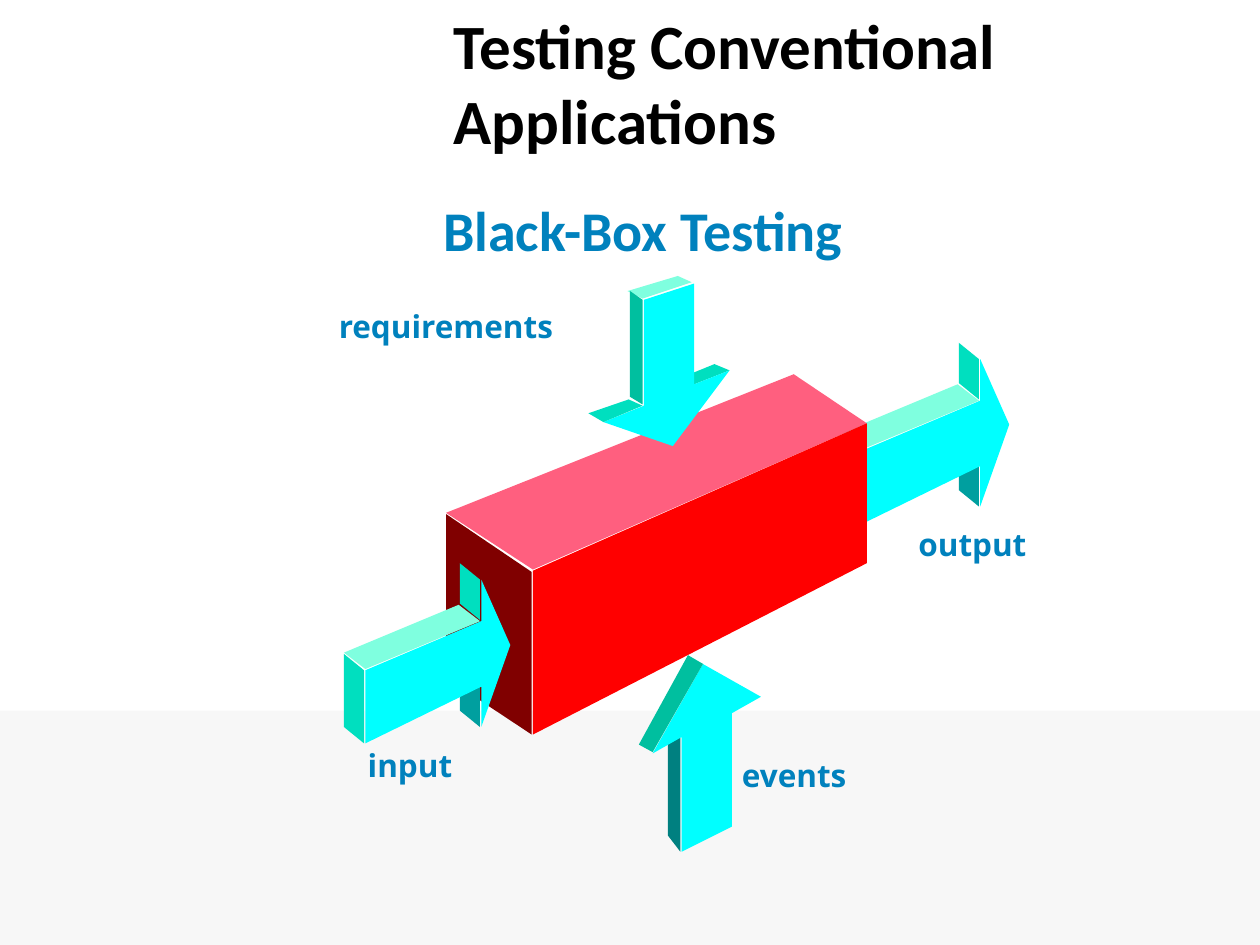
"""Build the black-box testing slide."""
from dataclasses import dataclass

import pptx
import pptx.dml.color
import pptx.enum.shapes
import pptx.enum.text
import pptx.presentation
import pptx.shapes.autoshape
import pptx.slide
import pptx.text.text
import pptx.util

RGBColor = pptx.dml.color.RGBColor
PX = pptx.util.Inches(1) // 100

BLACK = RGBColor(0x00, 0x00, 0x00)
WHITE = RGBColor(0xFF, 0xFF, 0xFF)
BAND_GREY = RGBColor(0xF7, 0xF7, 0xF7)
BLUE = RGBColor(0x00, 0x81, 0xBD)
CYAN = RGBColor(0x00, 0xFF, 0xFF)
MINT = RGBColor(0x7F, 0xFF, 0xDF)
TURQUOISE = RGBColor(0x00, 0xDF, 0xBF)
GREEN = RGBColor(0x00, 0xBF, 0x9F)
DARK_CYAN = RGBColor(0x00, 0x9F, 0x9F)
TEAL = RGBColor(0x00, 0x80, 0x80)
MAROON = RGBColor(0x80, 0x00, 0x00)
PINK = RGBColor(0xFF, 0x5F, 0x7F)
RED = RGBColor(0xFF, 0x00, 0x00)


@dataclass(frozen=True)
class Face:
    color: RGBColor
    points: tuple[tuple[int, int], ...]


@dataclass(frozen=True)
class Label:
    text: str
    left: int
    top: int
    width: int
    height: int = 40
    font: str = "Open Sans"
    size: int = 18
    wrap: bool = False


FLOW_ARROW = (
    Face(DARK_CYAN, ((381, 577), (381, 545), (365, 532), (365, 564))),
    Face(CYAN, ((382, 493), (290, 532), (290, 590), (382, 545), (382, 577),
                (405, 512), (382, 460))),
    Face(TURQUOISE, ((289, 532), (289, 590), (273, 577), (273, 519))),
    Face(MINT, ((273, 518), (290, 531), (381, 493), (364, 480))),
    Face(TURQUOISE, ((381, 460), (365, 447), (365, 479), (381, 492))),
)
EVENTS_ARROW = (
    Face(TEAL, ((540, 676), (540, 586), (530, 579), (530, 663))),
    Face(CYAN, ((558, 527), (604, 553), (581, 566), (581, 656), (541, 676),
                (541, 585), (518, 598))),
    Face(GREEN, ((518, 597), (507, 591), (546, 520), (558, 527))),
)
BOX = (
    Face(MAROON, ((354, 408), (422, 454), (422, 583), (354, 538))),
    Face(PINK, ((354, 407), (423, 452), (688, 336), (630, 297))),
    Face(RED, ((423, 453), (423, 583), (688, 447), (688, 336))),
)
REQUIREMENTS_ARROW = (
    Face(MINT, ((498, 231), (510, 237), (549, 224), (538, 219))),
    Face(TURQUOISE, ((551, 305), (579, 294), (567, 289), (540, 300))),
    Face(CYAN, ((511, 238), (551, 225), (551, 305), (579, 294), (534, 354),
                (479, 335), (511, 322))),
    Face(TURQUOISE, ((479, 335), (467, 328), (499, 317), (510, 322))),
    Face(GREEN, ((500, 315), (510, 321), (510, 238), (500, 231))),
)
OUTPUT_OFFSET = (396, -175)

TITLE = Label("Testing Conventional Applications", 350, 0, 608, 130, "Calibri", 36, True)
LABELS = (
    Label("Black-Box Testing", 342, 150, 450, 64, "Calibri", 32, True),
    Label("requirements", 259, 239, 191),
    Label("events", 579, 595, 103),
    Label("input", 282, 587, 87),
    Label("output", 719, 412, 106),
)


def paint(sp: pptx.shapes.autoshape.Shape, color: RGBColor) -> None:
    """Give a shape a plain fill with no outline or shadow."""
    sp.shadow.inherit = False
    sp.fill.solid()
    sp.fill.fore_color.rgb = color
    sp.line.fill.background()


def draw_solid(s: pptx.slide.Slide, faces: tuple[Face, ...],
               offset: tuple[int, int] = (0, 0)) -> None:
    """Draw the faces of a solid, moved by an offset."""
    dx, dy = offset
    for face in faces:
        start, *rest = [(x + dx, y + dy) for x, y in face.points]
        builder = s.shapes.build_freeform(*start, scale=PX)
        builder.add_line_segments(rest, close=True)
        paint(builder.convert_to_shape(), face.color)


def write(sp: pptx.shapes.autoshape.Shape, label: Label, color: RGBColor) -> None:
    """Place a text shape and format its single paragraph."""
    sp.left, sp.top = label.left * PX, label.top * PX
    sp.width, sp.height = label.width * PX, label.height * PX
    tf = sp.text_frame
    tf.text = label.text
    tf.word_wrap = label.wrap
    tf.auto_size = pptx.enum.text.MSO_AUTO_SIZE.NONE
    tf.vertical_anchor = pptx.enum.text.MSO_ANCHOR.TOP
    p = tf.paragraphs[0]
    p.alignment = pptx.enum.text.PP_ALIGN.LEFT
    p.font.name = label.font
    p.font.size = pptx.util.Pt(label.size)
    p.font.bold = True
    p.font.color.rgb = color


def main() -> None:
    """Build and save the slide."""
    prs = pptx.Presentation()
    prs.slide_width, prs.slide_height = 1000 * PX, 750 * PX
    s = prs.slides.add_slide(prs.slide_layouts[5])
    s.background.fill.solid()
    s.background.fill.fore_color.rgb = WHITE
    band = s.shapes.add_shape(pptx.enum.shapes.MSO_SHAPE.RECTANGLE,
                              0, 564 * PX, 1000 * PX, 186 * PX)
    paint(band, BAND_GREY)
    draw_solid(s, FLOW_ARROW, OUTPUT_OFFSET)
    for solid in (EVENTS_ARROW, BOX, REQUIREMENTS_ARROW, FLOW_ARROW):
        draw_solid(s, solid)
    for label in LABELS:
        write(s.shapes.add_textbox(0, 0, 0, 0), label, BLUE)
    write(s.shapes.title, TITLE, BLACK)
    prs.save("out.pptx")


if __name__ == "__main__":
    main()
